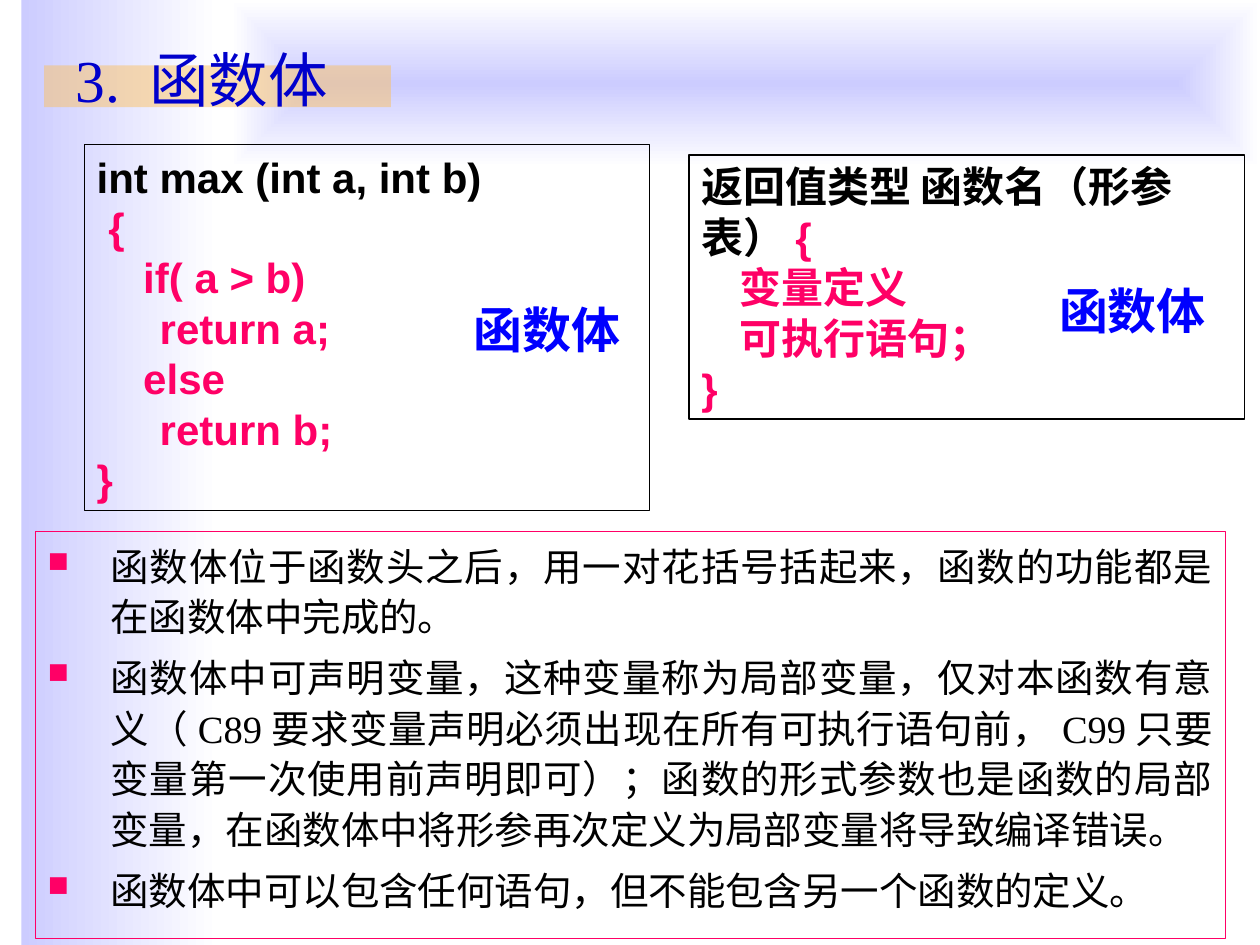
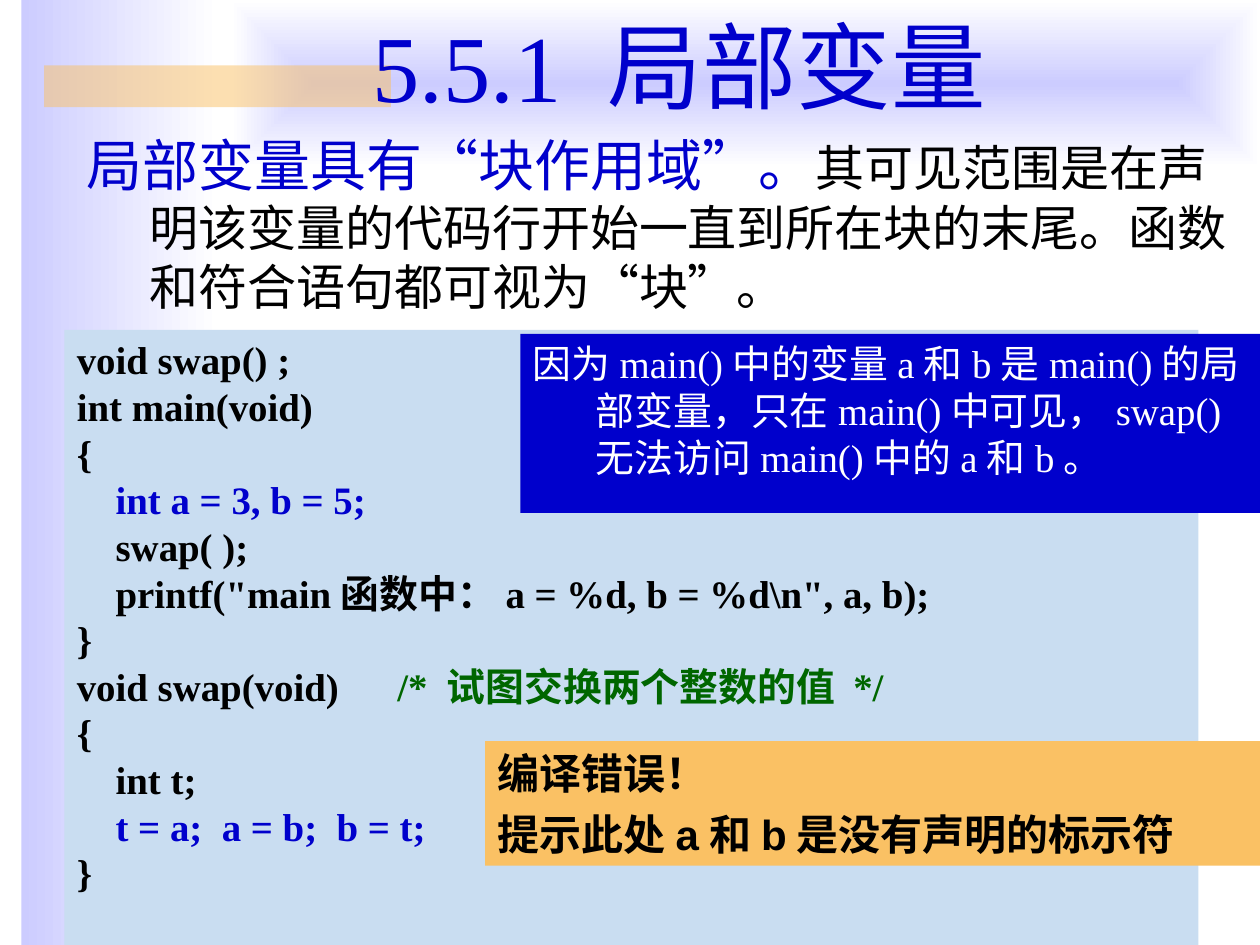
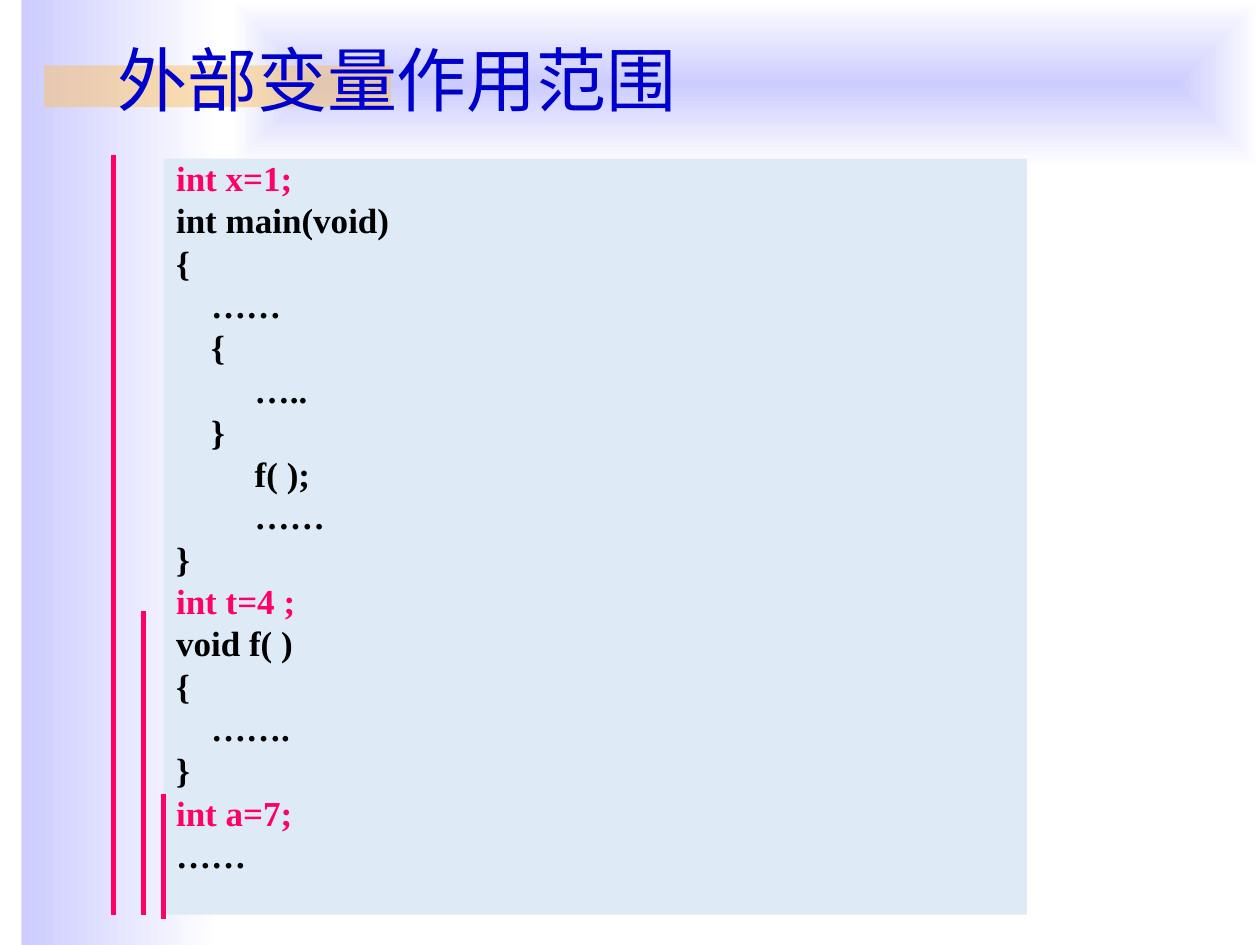
from dataclasses import dataclass, replace

from lxml.etree import SubElement
from pptx import Presentation
from pptx.dml.color import RGBColor
from pptx.enum.shapes import MSO_CONNECTOR, MSO_SHAPE
from pptx.enum.text import MSO_ANCHOR, MSO_AUTO_SIZE, PP_ALIGN
from pptx.oxml.ns import qn
from pptx.util import Cm, Pt

COLOURS = {
    "black": "000000",
    "white": "FFFFFF",
    "lavender": "CCCCFF",
    "orange": "FAC164",
    "pink": "FF0066",
    "navy": "0000CC",
    "blue": "0000FF",
    "green": "006600",
    "code_blue": "C9DDF1",
    "code_pale": "DEEAF6",
}
SERIF = "Times New Roman"
SANS = "Arial"
LINE_PITCH = 1.2


@dataclass
class TextStyle:
    size: float
    colour: str = "black"
    font: str = SERIF
    bold: bool = False
    align: PP_ALIGN = PP_ALIGN.LEFT
    spacing: object = None
    before: float = 0
    hanging: float = 0
    bullet: bool = False


def code_style(size, font=SERIF, tightness=1, before=0):
    return TextStyle(size, font=font, bold=True, before=before,
                     spacing=Pt(round(size * LINE_PITCH * tightness, 2)))


CALLOUT = TextStyle(24, font=SANS, bold=True, before=6, hanging=0.97)
BODY_LABEL = TextStyle(28, "blue", SANS, True)
POINTS = TextStyle(22, align=PP_ALIGN.JUSTIFY, spacing=1.1, before=5.5,
                   hanging=1.27, bullet=True)
EXPLANATION = TextStyle(28, hanging=1.27)
REASON = TextStyle(22.2, "white", hanging=1.27)


def rgb(name):
    return RGBColor.from_string(COLOURS[name])


def lengths(box):
    return [Cm(length) for length in box]


def add_bullet(properties):
    colour = SubElement(properties, qn("a:buClr"))
    SubElement(colour, qn("a:srgbClr"), val=COLOURS["pink"])
    SubElement(properties, qn("a:buSzPct"), val="75000")
    SubElement(properties, qn("a:buChar"), char="■")


def format_paragraph(paragraph, style, first):
    properties = paragraph._p.get_or_add_pPr()
    if style.hanging:
        properties.set("marL", str(Cm(style.hanging)))
        properties.set("indent", str(-Cm(style.hanging)))
    if style.bullet:
        add_bullet(properties)
    paragraph.alignment = style.align
    if style.spacing:
        paragraph.line_spacing = style.spacing
    if not first:
        paragraph.space_before = Pt(style.before)


def write(frame, paragraphs, style):
    frame.auto_size = MSO_AUTO_SIZE.NONE
    for index, content in enumerate(paragraphs):
        paragraph = frame.add_paragraph() if index else frame.paragraphs[0]
        format_paragraph(paragraph, style, index == 0)
        pieces = [(content, style.colour)] if isinstance(content, str) else content
        for words, colour, *size in pieces:
            run = paragraph.add_run()
            run.text = words
            run.font.name = style.font
            run.font.size = Pt(size[0] if size else style.size)
            run.font.bold = style.bold
            run.font.color.rgb = rgb(colour)


def add_text(slide, box, paragraphs, style, fill=None, border=None, width=0.75, wrap=True):
    panel = slide.shapes.add_textbox(*lengths(box))
    panel.text_frame.word_wrap = wrap
    if fill:
        panel.fill.solid()
        panel.fill.fore_color.rgb = rgb(fill)
    if border:
        panel.line.color.rgb = rgb(border)
        panel.line.width = Pt(width)
    write(panel.text_frame, paragraphs, style)


def add_title(slide, box, words, size, align=PP_ALIGN.LEFT):
    title = slide.shapes.title
    title.left, title.top, title.width, title.height = lengths(box)
    title.text_frame.vertical_anchor = MSO_ANCHOR.MIDDLE
    write(title.text_frame, [words], TextStyle(size, "navy", align=align))


def add_band(slide, box):
    band = slide.shapes.add_shape(MSO_SHAPE.RECTANGLE, *lengths(box))
    band.shadow.inherit = False
    band.line.fill.background()
    return band


def fade_to_white(band):
    band.fill.gradient()
    band.fill.gradient_angle = 0
    for stop, colour, position in zip(band.fill.gradient_stops, ("lavender", "white"), (0, 1)):
        stop.color.rgb = rgb(colour)
        stop.position = position


def decorate_master(master, slide):
    side = add_band(slide, (0.43, 0, 4.01, 19.05))
    header = add_band(slide, (4.65, 0, 20.75, 3.38))
    for band in (side, header):
        fade_to_white(band)
    gradient = header.element.spPr.find(qn("a:gradFill"))
    gradient.remove(gradient.find(qn("a:lin")))
    centre = SubElement(gradient, qn("a:path"), path="rect")
    SubElement(centre, qn("a:fillToRect"), {edge: "50000" for edge in "ltrb"})

    accent = add_band(slide, (0.89, 1.32, 6.99, 0.84))
    accent.fill.solid()
    accent.fill.fore_color.rgb = rgb("orange")
    SubElement(accent.element.spPr.find(".//" + qn("a:srgbClr")), qn("a:alpha"), val="50000")
    for position, band in enumerate((side, header, accent), start=2):
        master.shapes.element.insert(position, band.element)


def add_function_example(slide, box, lines, label_offset, border_width):
    left, top, _, _ = box
    add_text(slide, box, lines, code_style(24, SANS), border="black", width=border_width)
    label_box = (left + label_offset[0], top + label_offset[1], 3.45, 1.45)
    add_text(slide, label_box, ["函数体"], BODY_LABEL, wrap=False)


def add_scope_panel(slide, box, lines, scopes):
    left, top, _, height = box
    style = code_style(20, tightness=0.8, before=5)
    add_text(slide, box, lines, style, fill="code_pale")
    for across, start, overrun in scopes:
        scope = slide.shapes.add_connector(
            MSO_CONNECTOR.STRAIGHT,
            *lengths((left + across, top + start, left + across, top + height + overrun)))
        scope.line.color.rgb = rgb("pink")
        scope.line.width = Pt(3)
        SubElement(scope.element.spPr, qn("a:effectLst"))


def pink(*lines):
    return [[(line, "pink")] for line in lines]


def build_function_body(slide):
    add_title(slide, (1.27, 0.71, 22.86, 1.75), "3. 函数体", 34)
    add_text(slide, (0.71, 10.72, 24, 8.2), [
        "函数体位于函数头之后，用一对花括号括起来，函数的功能都是在函数体中完成的。",
        "函数体中可声明变量，这种变量称为局部变量，仅对本函数有意义（C89要求变量声明必须出现在所有可执行语句前，"
        "C99只要变量第一次使用前声明即可）；函数的形式参数也是函数的局部变量，在函数体中将形参再次定义为局部变量将导致编译错误。",
        "函数体中可以包含任何语句，但不能包含另一个函数的定义。",
    ], POINTS, border="pink")
    add_function_example(slide, (13.89, 3.12, 11.2, 5.33), [
        [("返回值类型 函数名（形参表）", "black"), ("{", "pink")],
        *pink("    变量定义", "    可执行语句；", "}"),
    ], (7.21, 2.41), 1)
    add_function_example(slide, (1.7, 2.92, 11.4, 7.37), [
        "int max (int a, int b)",
        *pink(" {", "    if( a > b)", "\treturn a;", "    else", "\treturn b;", "}"),
    ], (7.59, 3), 0.75)


def build_local_variables(slide):
    add_title(slide, (2.9, 0, 21.59, 2.59), "5.5.1 局部变量", 54, PP_ALIGN.CENTER)
    add_text(slide, (1.3, 6.65, 22.86, 12.4), [
        "void swap() ;",
        "int main(void)",
        "{",
        [("    int a = 3, b = 5;", "navy")],
        "    swap( );",
        '    printf("main函数中：a = %d, b = %d\\n", a, b);',
        "}",
        [("void swap(void)      ", "black"), ("/* 试图交换两个整数的值 */", "green")],
        "{",
        "    int t;",
        [("    t = a;  a = b;  b = t;", "navy")],
        "}",
    ], replace(code_style(22.2), hanging=1.27), fill="code_blue")
    add_text(slide, (9.78, 14.94, 15.62, 2.51),
             ["编译错误！", "提示此处a和b是没有声明的标示符"], CALLOUT, fill="orange")
    add_text(slide, (1.5, 2.51, 23.9, 4.19), [[
        ("局部变量具有“块作用域”。", "navy", 32),
        ("其可见范围是在声明该变量的代码行开始一直到所在块的末尾。函数和符合语句都可视为“块”。", "black"),
    ]], EXPLANATION)
    add_text(slide, (10.49, 6.73, 14.91, 3.61), [
        "因为main()中的变量a和b是main()的局部变量，只在main()中可见，swap()无法访问main()中的a和b。",
    ], REASON, fill="navy")


def build_external_scope(slide):
    add_title(slide, (2.11, 0.53, 14.81, 2.11), "外部变量作用范围", 40)
    add_scope_panel(slide, (3.3, 3.2, 17.4, 15.24), [
        *pink("int x=1;"),
        "int main(void)",
        "{",
        "    ……",
        "    {",
        "         …..",
        "    }",
        "         f( );",
        "         ……",
        "}",
        *pink("int t=4 ;"),
        "void f( )",
        "{",
        "    …….",
        "}",
        *pink("int a=7;"),
        "……",
    ], [(-1.01, -0.08, 0), (0, 12.8, 0.08), (-0.4, 9.12, 0)])


def main():
    presentation = Presentation()
    presentation.slide_width, presentation.slide_height = Cm(25.4), Cm(19.05)
    title_only = presentation.slide_layouts[5]
    builders = (build_function_body, build_local_variables, build_external_scope)
    for index, build in enumerate(builders):
        slide = presentation.slides.add_slide(title_only)
        if index == 0:
            decorate_master(presentation.slide_master, slide)
        build(slide)
    presentation.save("out.pptx")


if __name__ == "__main__":
    main()
